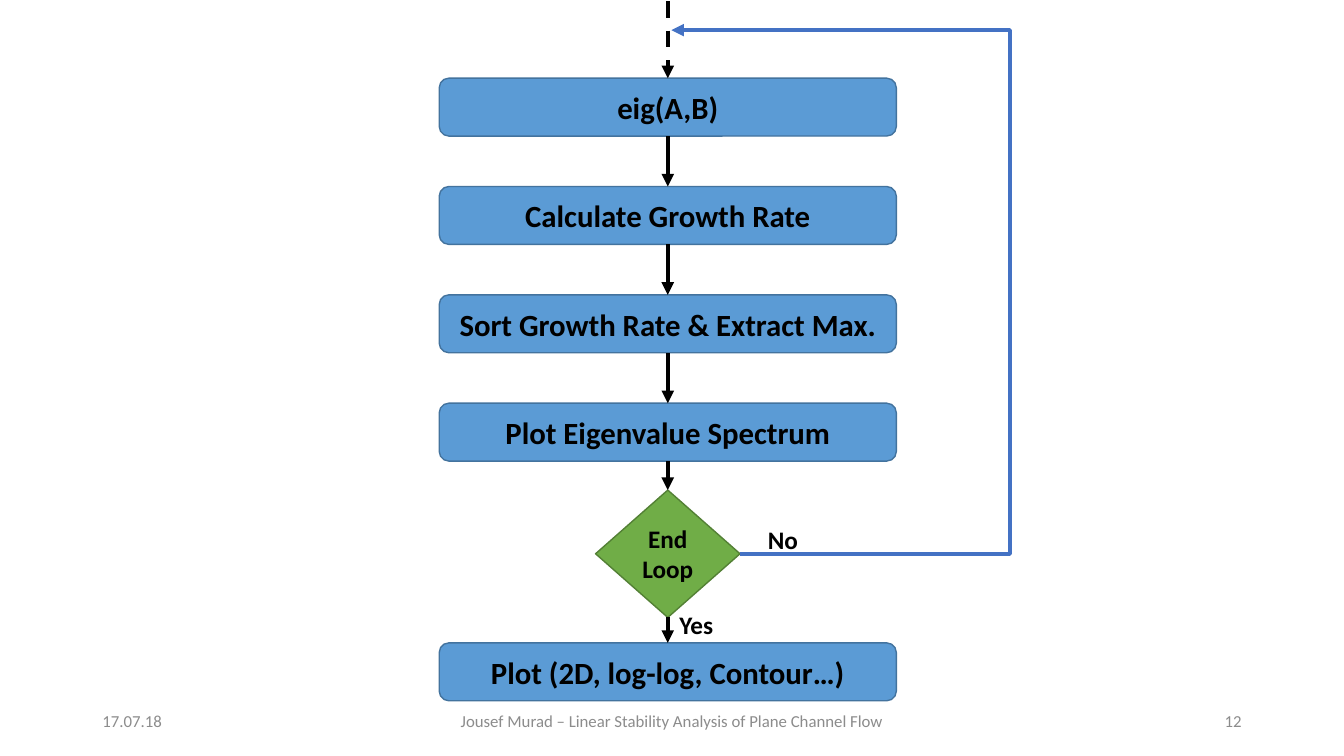
"""Build the flowchart slide of the eigenvalue loop for plane channel flow."""
from dataclasses import dataclass

from lxml import etree
from pptx import Presentation
from pptx.dml.color import RGBColor
from pptx.enum.dml import MSO_LINE
from pptx.enum.shapes import MSO_CONNECTOR, MSO_SHAPE
from pptx.enum.text import MSO_ANCHOR, MSO_AUTO_SIZE, PP_ALIGN
from pptx.oxml.ns import qn
from pptx.util import Cm, Pt

ROUNDED, DIAMOND = MSO_SHAPE.ROUNDED_RECTANGLE, MSO_SHAPE.DIAMOND
STRAIGHT, ELBOW = MSO_CONNECTOR.STRAIGHT, MSO_CONNECTOR.ELBOW
LEFT, CENTER, RIGHT = PP_ALIGN.LEFT, PP_ALIGN.CENTER, PP_ALIGN.RIGHT
MIDDLE, TOP = MSO_ANCHOR.MIDDLE, MSO_ANCHOR.TOP
FIT_SHAPE = MSO_AUTO_SIZE.SHAPE_TO_FIT_TEXT
DASH = MSO_LINE.DASH
TOP_SITE, BOTTOM_SITE = 0, 2


@dataclass(frozen=True)
class Theme:
    font: str = "Calibri"
    ink: RGBColor = RGBColor(0x00, 0x00, 0x00)
    muted: RGBColor = RGBColor(0x8C, 0x8C, 0x8C)
    step_fill: RGBColor = RGBColor(0x5B, 0x9B, 0xD5)
    step_line: RGBColor = RGBColor(0x43, 0x73, 0x9E)
    decision_fill: RGBColor = RGBColor(0x70, 0xAD, 0x47)
    decision_line: RGBColor = RGBColor(0x53, 0x80, 0x35)
    loop: RGBColor = RGBColor(0x44, 0x72, 0xC4)
    step_size: Pt = Pt(22)
    label_size: Pt = Pt(18)
    footer_size: Pt = Pt(12)
    outline: Pt = Pt(1)
    arrow: Pt = Pt(3)


theme = Theme()


def write(shape, text, size, color, bold, alignment, anchor):
    frame = shape.text_frame
    frame.word_wrap = True
    frame.vertical_anchor = anchor
    paragraph = frame.paragraphs[0]
    paragraph.text = text
    paragraph.alignment = alignment
    paragraph.font.name = theme.font
    paragraph.font.size = size
    paragraph.font.bold = bold
    paragraph.font.color.rgb = color


def style_arrow(connector, color):
    connector.line.color.rgb = color
    connector.line.width = theme.arrow
    properties = connector.line._get_or_add_ln()
    etree.SubElement(properties, qn("a:tailEnd"), type="triangle")
    etree.SubElement(connector._element.spPr, qn("a:effectLst"))


presentation = Presentation()
presentation.slide_width = Cm(33.87)
presentation.slide_height = Cm(19.05)
slide = presentation.slides.add_slide(presentation.slide_layouts[6])
shapes = slide.shapes

footers = [
    ("17.07.18", 2.33, 7.62, LEFT),
    ("Jousef Murad – Linear Stability Analysis of Plane Channel Flow", 11.22, 11.43, CENTER),
    ("12", 23.92, 7.62, RIGHT),
]
for text, left, width, alignment in footers:
    footer = shapes.add_textbox(Cm(left), Cm(17.66), Cm(width), Cm(1.01))
    write(footer, text, theme.footer_size, theme.muted, False, alignment, MIDDLE)

center = 16.83
step_width, step_height = 11.52, 1.46
first_top, pitch = 1.97, 2.73
steps = ["eig(A,B)", "Calculate Growth Rate", "Sort Growth Rate & Extract Max.",
         "Plot Eigenvalue Spectrum"]
step_style = (theme.step_size, theme.step_fill, theme.step_line)
nodes = [(ROUNDED, text, first_top + pitch * index, step_width, step_height, *step_style)
         for index, text in enumerate(steps)]
decision_top, decision_width, decision_height = 12.35, 3.64, 3.21
nodes.append((DIAMOND, "End Loop", decision_top, decision_width, decision_height,
              theme.label_size, theme.decision_fill, theme.decision_line))
nodes.append((ROUNDED, "Plot (2D, log-log, Contour…)", 16.2, step_width, step_height,
              *step_style))

previous = None
for kind, text, top, width, height, size, fill, outline in nodes:
    node = shapes.add_shape(kind, Cm(center - width / 2), Cm(top), Cm(width), Cm(height))
    node.shadow.inherit = False
    node.fill.solid()
    node.fill.fore_color.rgb = fill
    node.line.color.rgb = outline
    node.line.width = theme.outline
    write(node, text, size, theme.ink, True, CENTER, MIDDLE)
    arrow = shapes.add_connector(STRAIGHT, Cm(center), Cm(0.03), Cm(center), Cm(top))
    if previous is None:
        arrow.line.dash_style = DASH
    else:
        arrow.begin_connect(previous, BOTTOM_SITE)
    arrow.end_connect(node, TOP_SITE)
    style_arrow(arrow, theme.ink)
    previous = node

loop_start, loop_end, loop_right = center + decision_width / 2, 16.92, 25.45
loop = shapes.add_connector(ELBOW, Cm(loop_start), Cm(decision_top + decision_height / 2),
                            Cm(loop_end), Cm(0.76))
bend = round((loop_start - loop_right) / (loop_start - loop_end) * 100000)
guides = loop._element.spPr.find(qn("a:prstGeom")).get_or_add_avLst()
etree.SubElement(guides, qn("a:gd"), name="adj1", fmla=f"val {bend}")
style_arrow(loop, theme.loop)

for text, left, top, width in [("No", 19.1, 13.08, 1.27), ("Yes", 16.87, 15.22, 1.37)]:
    label = shapes.add_textbox(Cm(left), Cm(top), Cm(width), Cm(1.02))
    write(label, text, theme.label_size, theme.ink, True, LEFT, TOP)
    label.text_frame.word_wrap = False
    label.text_frame.auto_size = FIT_SHAPE

presentation.save("out.pptx")
